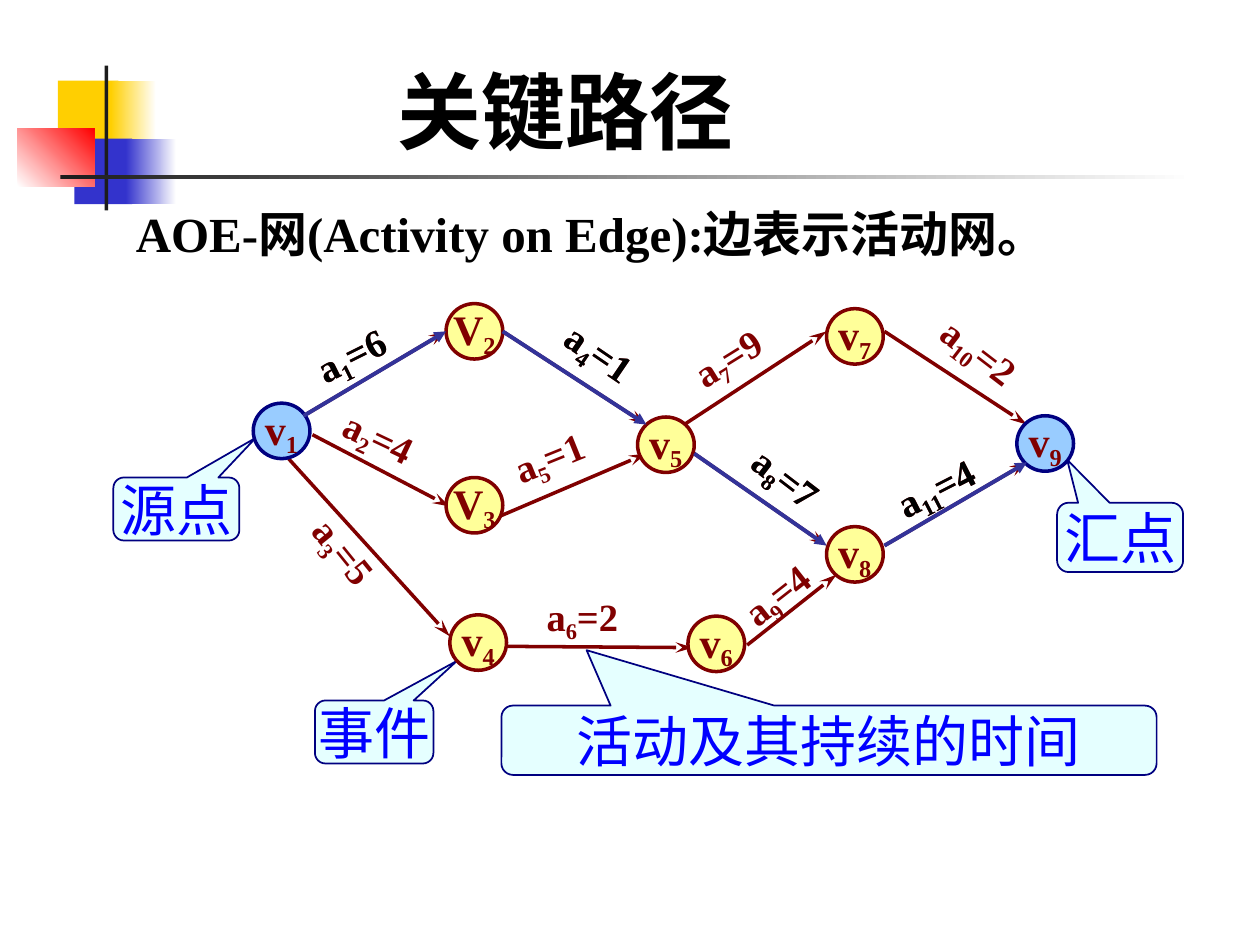
from lxml import etree
from pptx import Presentation
from pptx import util as u
from pptx.dml.color import RGBColor
from pptx.enum import shapes, text
from pptx.oxml.ns import qn

PX = 9144  # 100 px to the inch
FONT = "Times New Roman"
BLACK, WHITE, MAROON, NAVY = "000000", "FFFFFF", "800000", "000080"
YELLOW, BLUE, GREY = "FFCF01", "3333CC", "1C1C1C"
NODE_W, NODE_H, LABEL_H = 45, 44, 50


def rgb(value):
    return RGBColor.from_string(value)


def add_run(p, words, size=24, color=BLACK, bold=True, sub=False):
    r = p.add_run()
    r.text = words
    r.font.name, r.font.size, r.font.bold = FONT, u.Pt(size), bold
    r.font.color.rgb = rgb(color)
    if sub:
        r._r.get_or_add_rPr().set("baseline", "-20000")


class Drawing:
    def __init__(self, prs):
        self.s = prs.slides.add_slide(prs.slide_layouts[6])

    def shape(self, kind, box, fill, line=None, width=1):
        sp = self.s.shapes.add_shape(kind, *(v * PX for v in box))
        sp.shadow.inherit = False
        sp.fill.solid()
        sp.fill.fore_color.rgb = rgb(fill)
        if line:
            sp.line.color.rgb = rgb(line)
            sp.line.width = u.Pt(width)
        else:
            sp.line.fill.background()
        return sp

    def block(self, box, color, fade_to=None, angle=0):
        sp = self.shape(shapes.MSO_SHAPE.RECTANGLE, box, color)
        if fade_to:
            sp.fill.gradient()
            sp.fill.gradient_angle = angle
            for stop, value in zip(sp.fill.gradient_stops, (color, fade_to)):
                stop.color.rgb = rgb(value)

    def centred(self, sp):
        """Prepare a shape for one unwrapped centred line."""
        tf = sp.text_frame
        tf.word_wrap = False
        tf.vertical_anchor = text.MSO_ANCHOR.MIDDLE
        tf.margin_left = tf.margin_right = 10 * PX
        tf.margin_top = tf.margin_bottom = 5 * PX
        p = tf.paragraphs[0]
        p.alignment = text.PP_ALIGN.CENTER
        return p

    def callout(self, words, box, tip):
        sp = self.shape(shapes.MSO_SHAPE.ROUNDED_RECTANGULAR_CALLOUT, box,
                        "CCFFFF", NAVY)
        sp.adjustments[0], sp.adjustments[1] = tip
        color = sp._element.spPr.find(qn("a:solidFill"))[0]
        etree.SubElement(color, qn("a:alpha")).set("val", "50000")
        add_run(self.centred(sp), words, size=32, color="0000FF", bold=False)

    def node(self, letter, number, x, y, fill="FFFF99", line=MAROON):
        sp = self.shape(shapes.MSO_SHAPE.OVAL, (x, y, NODE_W, NODE_H),
                        fill, line, 2)
        p = self.centred(sp)
        add_run(p, letter, color=MAROON)
        add_run(p, str(number), color=MAROON, sub=True)

    def text_box(self, box):
        sp = self.s.shapes.add_textbox(*(v * PX for v in box))
        tf = sp.text_frame
        tf.word_wrap = True
        tf.auto_size = text.MSO_AUTO_SIZE.SHAPE_TO_FIT_TEXT
        return sp, tf.paragraphs[0]

    def edge(self, start, end, color=MAROON, width=2, head="stealth", length="lg"):
        c = self.s.shapes.add_connector(shapes.MSO_CONNECTOR.STRAIGHT,
                                        *(v * PX for v in start + end))
        c.line.color.rgb = rgb(color)
        c.line.width = u.Pt(width)
        tail = etree.SubElement(c.line._get_or_add_ln(), qn("a:tailEnd"))
        tail.set("type", head)
        tail.set("len", length)
        etree.SubElement(c._element.spPr, qn("a:effectLst"))

    def edge_label(self, number, duration, x, y, angle, color=MAROON):
        width = 76 if number < 10 else 85
        sp, p = self.text_box((x, y, width, LABEL_H))
        sp.rotation = angle
        sp.text_frame.word_wrap = False
        sp.text_frame.margin_right = 0  # room for the label on one line
        add_run(p, "a", 22, color)
        add_run(p, str(number), 22, color, sub=True)
        add_run(p, f"={duration}", 22, color)


BLOCKS = [
    ((46, 64, 48, 52), YELLOW),
    ((88, 64, 36, 52), YELLOW, WHITE),
    ((59, 110, 46, 52), BLUE),
    ((100, 110, 40, 52), BLUE, WHITE),
    ((14, 102, 61, 46), WHITE, "FF0000", 45),
    ((83, 52, 3, 115), GREY),
    ((48, 139, 900, 3), GREY, WHITE),
]
CALLOUTS = [
    ("源点", (90, 379, 100, 50), (0.63, -1.13)),
    ("汇点", (839, 399, 100, 55), (-0.42, -1.12)),
    ("事件", (250, 556, 94, 50), (0.7, -1.13)),
    ("活动及其持续的时间", (398, 560, 520, 55), (-0.37, -1.3)),
]
NODES = [
    ("v", 201, 320), ("V", 354, 241), ("V", 354, 379),
    ("v", 357, 488), ("v", 506, 331), ("v", 546, 489),
    ("v", 656, 245), ("v", 656, 418), ("v", 807, 330),
]
END_NODES = (1, len(NODES))
# activity: start, end, duration, label x, label y, label angle
ACTIVITIES = {
    1: ((241, 330), (354, 263), 6, 241, 258, 333.5),
    2: ((248, 345), (357, 402), 4, 262, 323, 25.4),
    3: ((229, 364), (357, 505), 5, 234, 413, 51),
    4: ((399, 263), (513, 337), 1, 437, 256, 34.4),
    5: ((396, 410), (513, 360), 1, 398, 339, 338),
    6: ((403, 513), (550, 514), 2, 424, 466, 0),
    7: ((543, 337), (656, 263), 9, 540, 260, 328.2),
    8: ((551, 360), (656, 433), 7, 585, 355, 37.5),
    9: ((593, 512), (664, 456), 4, 579, 448, 321.9),
    10: ((702, 263), (815, 337), 2, 734, 255, 37.5),
    11: ((702, 433), (815, 367), 4, 701, 363, 332.9),
}
CRITICAL = (1, 4, 8, 11)


def main():
    prs = Presentation()
    prs.slide_width, prs.slide_height = 1000 * PX, 750 * PX
    d = Drawing(prs)

    for block in BLOCKS:
        d.block(*block)
    _, title = d.text_box((122, 42, 654, 90))
    title.alignment = text.PP_ALIGN.CENTER
    add_run(title, "关键路径", size=48)
    for callout in CALLOUTS:
        d.callout(*callout)
    _, intro = d.text_box((98, 147, 876, 66))
    intro.line_spacing = 1.2
    add_run(intro, "AOE-网(Activity on Edge):边表示活动网。", size=28)

    for start, end, *_ in ACTIVITIES.values():
        d.edge(start, end)
    for number, (letter, x, y) in enumerate(NODES, 1):
        style = ("99CCFF", NAVY) if number in END_NODES else ()
        d.node(letter, number, x, y, *style)
    for number, (_, _, *label) in ACTIVITIES.items():
        d.edge_label(number, *label)

    for number in CRITICAL:
        start, end, *label = ACTIVITIES[number]
        d.edge(start, end, "333399", 2.25, "triangle", "med")
        d.edge_label(number, *label, color=BLACK)

    prs.save("out.pptx")


if __name__ == "__main__":
    main()
